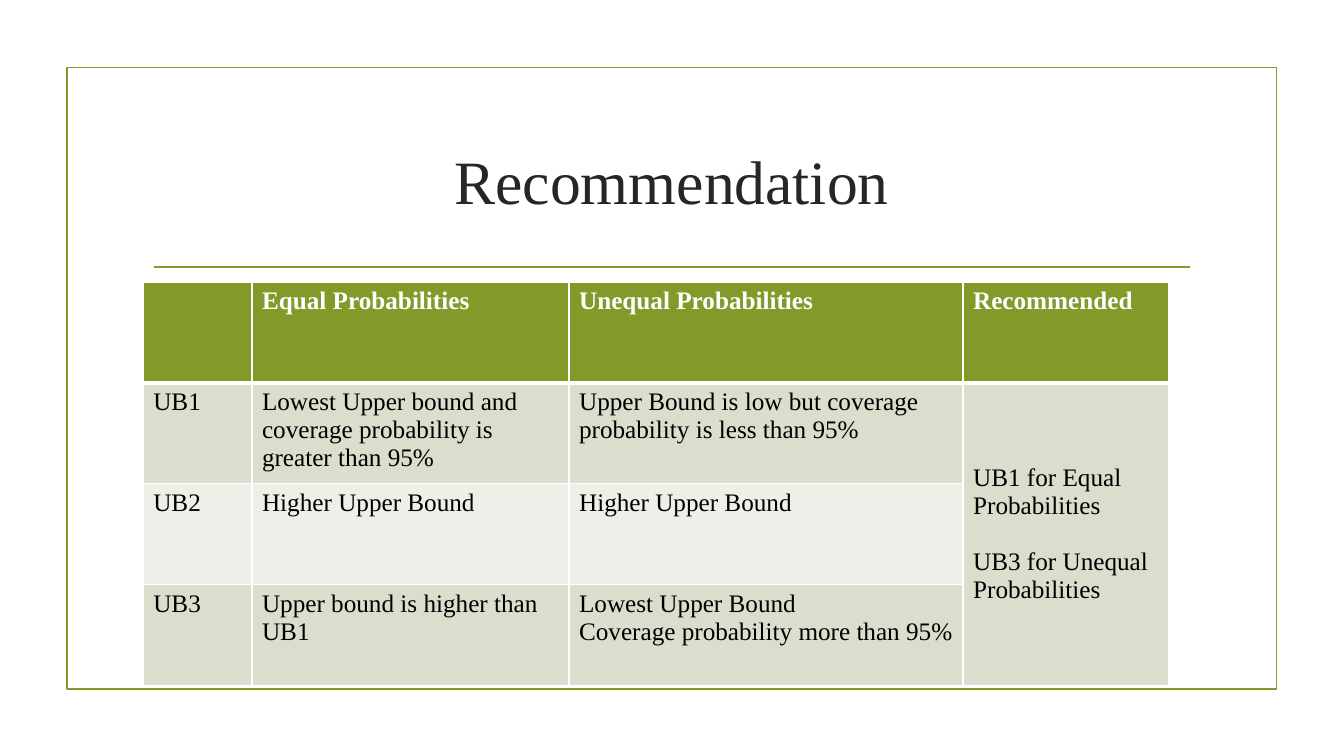
import pptx
import pptx.util
import pptx.dml.color
import pptx.enum.shapes
import pptx.enum.text
import pptx.oxml
import pptx.oxml.ns
from pptx.util import Cm

COLORS = {
    "green": "83992A",
    "title": "262626",
    "text": "000000",
    "white": "FFFFFF",
    "dark_band": "D9DECD",
    "light_band": "EDEFE8",
}
FONT = "Times New Roman"
HEADER = ["", "Equal Probabilities", "Unequal Probabilities", "Recommended"]
BODY = [
    ["UB1", "Lowest Upper bound\u00a0and coverage probability is greater than 95%",
     "Upper Bound\u00a0is low but coverage probability is less than 95%",
     "UB1 for Equal Probabilities\nUB3 for Unequal Probabilities"],
    ["UB2", "Higher Upper Bound", "Higher Upper Bound", ""],
    ["UB3", "Upper bound is higher than UB1",
     "Lowest Upper Bound\nCoverage probability more than 95%", ""],
]
COLUMN_WIDTHS = [2.74, 7.99, 9.93, 5.17]
ROW_HEIGHT = 2.54


def rgb(name):
    return pptx.dml.color.RGBColor.from_string(COLORS[name])


def write(text_frame, text, size, color, bold=False):
    """Put each line of text in its own paragraph, as one styled run."""
    for number, line in enumerate(text.split("\n")):
        paragraph = text_frame.add_paragraph() if number else text_frame.paragraphs[0]
        if not line:
            continue
        run = paragraph.add_run()
        run.text = line
        run.font.name = FONT
        run.font.size = pptx.util.Pt(size)
        run.font.bold = bold
        run.font.color.rgb = rgb(color)


presentation = pptx.Presentation()
presentation.slide_width = Cm(33.87)
presentation.slide_height = Cm(19.05)
slide = presentation.slides.add_slide(presentation.slide_layouts[6])

# Frame and rule
frame = slide.shapes.add_shape(
    pptx.enum.shapes.MSO_SHAPE.RECTANGLE, Cm(1.69), Cm(1.7), Cm(30.48), Cm(15.67))
frame.shadow.inherit = False
frame.fill.background()
rule = slide.shapes.add_connector(
    pptx.enum.shapes.MSO_CONNECTOR.STRAIGHT, Cm(3.89), Cm(6.73), Cm(30), Cm(6.73))
rule._element.spPr.append(pptx.oxml.parse_xml(
    f'<a:effectLst {pptx.oxml.ns.nsdecls("a")}/>'))
for outlined in (frame, rule):
    outlined.line.color.rgb = rgb("green")
    outlined.line.width = pptx.util.Pt(1.25)

# Title
title = slide.shapes.add_textbox(Cm(3.6), Cm(2.72), Cm(26.67), Cm(3.63))
title.text_frame.word_wrap = True
title.text_frame.vertical_anchor = pptx.enum.text.MSO_ANCHOR.MIDDLE
write(title.text_frame, "Recommendation", 44, "title")
title.text_frame.paragraphs[0].alignment = pptx.enum.text.PP_ALIGN.CENTER

# Table
rows = [HEADER] + BODY
table = slide.shapes.add_table(
    len(rows), len(HEADER), Cm(3.61), Cm(7.11),
    Cm(sum(COLUMN_WIDTHS)), Cm(ROW_HEIGHT * len(rows))).table
table.first_row = False
table.horz_banding = False
for column, width in zip(table.columns, COLUMN_WIDTHS):
    column.width = Cm(width)

recommended = table.cell(1, 3)
recommended.merge(table.cell(3, 3))
recommended.vertical_anchor = pptx.enum.text.MSO_ANCHOR.MIDDLE

for row_number, texts in enumerate(rows):
    table.rows[row_number].height = Cm(ROW_HEIGHT)
    is_header = row_number == 0
    band = "green" if is_header else "dark_band" if row_number % 2 else "light_band"
    for column_number, text in enumerate(texts):
        cell = table.cell(row_number, column_number)
        write(cell.text_frame, text, 18, "white" if is_header else "text", is_header)
        for side in "LRTB":
            below_header = (row_number, side) in ((0, "B"), (1, "T"))
            width = pptx.util.Pt(3 if below_header else 1)
            cell._tc.get_or_add_tcPr().append(pptx.oxml.parse_xml(
                f'<a:ln{side} {pptx.oxml.ns.nsdecls("a")} w="{width}"><a:solidFill>'
                f'<a:srgbClr val="{COLORS["white"]}"/></a:solidFill></a:ln{side}>'))
        cell.fill.solid()
        cell.fill.fore_color.rgb = rgb("dark_band" if cell.is_spanned else band)

recommended.text_frame.paragraphs[1].space_before = pptx.util.Pt(20)

presentation.save("out.pptx")
